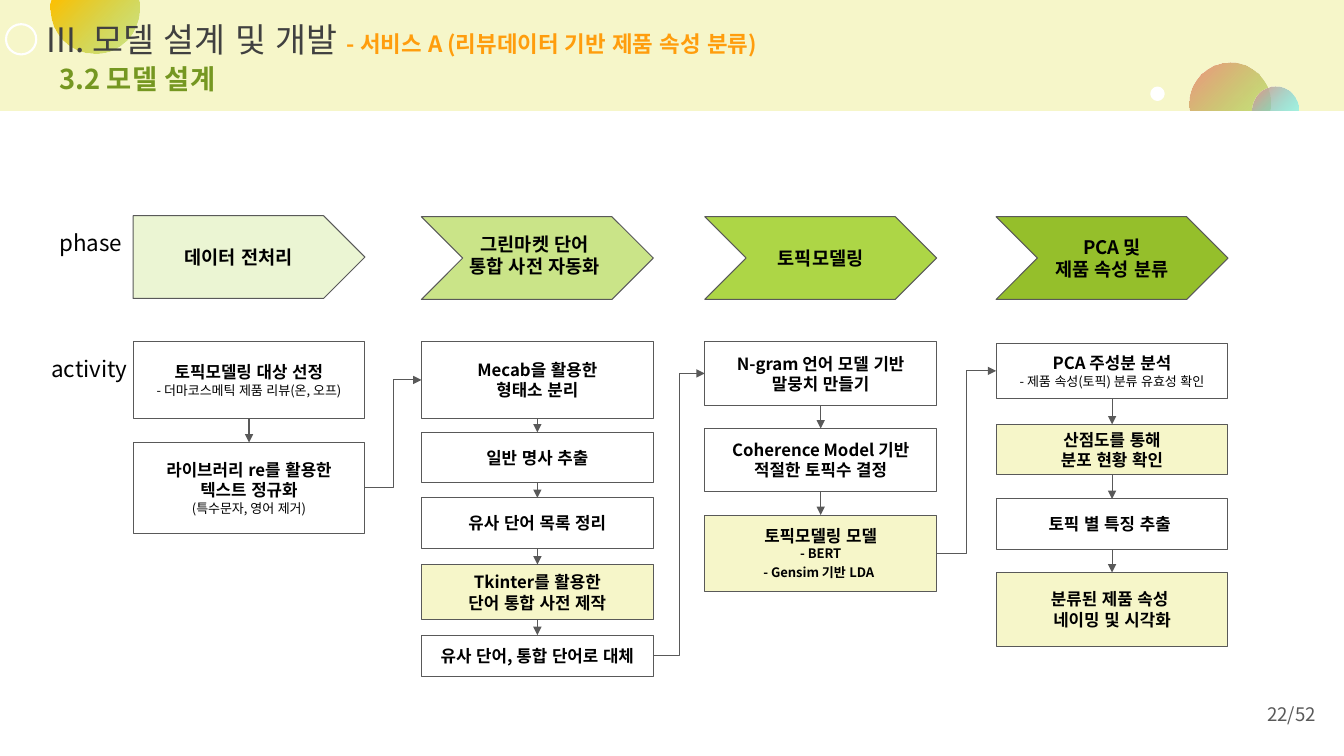
import math

from lxml import etree
from pptx import Presentation
from pptx import util as u
from pptx.dml.color import RGBColor
from pptx.enum import lang, shapes, text
from pptx.oxml import ns

FONT = "Noto Sans CJK KR"
BLACK = RGBColor(0x00, 0x00, 0x00)
WHITE = RGBColor(0xFF, 0xFF, 0xFF)
CREAM = RGBColor(0xF6, 0xF6, 0xC9)
GRAY = RGBColor(0x59, 0x59, 0x59)
DARK = RGBColor(0x40, 0x40, 0x40)
OLIVE = RGBColor(0x75, 0x97, 0x21)
ORANGE = RGBColor(0xFF, 0x9D, 0x0D)
GOLD = RGBColor(0xFF, 0xC0, 0x00)
LIME = RGBColor(0x9A, 0xCD, 0x32)
CORAL = RGBColor(0xF1, 0x91, 0x82)
AQUA = RGBColor(0x31, 0xEA, 0xFE)

WIDTH, HEIGHT, BANNER = 13.33, 7.5, 1.1
COLUMNS = [1.32, 4.18, 6.99, 9.88]
COLUMN_WIDTH = 2.3
PHASE_HEIGHT = 0.82
HEAD, SMALL = 12, 9.3
KIND = shapes.MSO_SHAPE

# Per column: top, fill and heading lines
PHASES = [
    (2.14, RGBColor(0xEB, 0xF5, 0xD3), ["데이터 전처리"]),
    (2.15, RGBColor(0xCA, 0xE4, 0x88), ["그린마켓 단어 ", "통합 사전 자동화 "]),
    (2.15, RGBColor(0xAD, 0xD6, 0x46), ["토픽모델링"]),
    (2.15, RGBColor(0x95, 0xBF, 0x2B), ["PCA 및", "제품 속성 분류"])]

# Per column: text inset, and boxes of (top, height, fill, heading lines, detail lines)
ACTIVITIES = [
    (0.16, [
        (3.39, 0.76, WHITE, ["토픽모델링 대상 선정"], ["- 더마코스메틱 제품 리뷰(온, 오프)"]),
        (4.39, 0.9, WHITE, ["라이브러리 re를 활용한", "텍스트 정규화"], ["(특수문자, 영어 제거)"])]),
    (0.13, [
        (3.39, 0.76, WHITE, ["Mecab을 활용한", "형태소 분리"], []),
        (4.29, 0.5, WHITE, ["일반 명사 추출"], []),
        (4.94, 0.5, WHITE, ["유사 단어 목록 정리"], []),
        (5.6, 0.55, CREAM, ["Tkinter를 활용한", "단어 통합 사전 제작"], []),
        (6.3, 0.41, WHITE, ["유사 단어, 통합 단어로 대체"], [])]),
    (0.13, [
        (3.39, 0.63, WHITE, ["N-gram 언어 모델 기반", "말뭉치 만들기"], []),
        (4.25, 0.63, WHITE, ["Coherence Model 기반", "적절한 토픽수 결정"], []),
        (5.11, 0.76, CREAM, ["토픽모델링 모델"], ["- BERT", "- Gensim 기반 LDA"])]),
    (0.13, [
        (3.41, 0.54, WHITE, ["PCA 주성분 분석"], ["- 제품 속성(토픽) 분류 유효성 확인"]),
        (4.21, 0.5, CREAM, ["산점도를 통해", "분포 현황 확인"], []),
        (4.95, 0.5, WHITE, ["토픽 별 특징 추출 "], []),
        (5.68, 0.73, CREAM, ["분류된 제품 속성 ", "네이밍 및 시각화"], [])]),
]


def inches(*lengths):
    return [u.Inches(length) for length in lengths]


def add_span(para, words, size=HEAD, color=BLACK, bold=False):
    span = para.add_run()
    span.text = words
    font = span.font
    font.size, font.bold, font.name = u.Pt(size), bold, FONT
    font.language_id = lang.MSO_LANGUAGE_ID.KOREAN
    font.color.rgb = color
    etree.SubElement(span._r.get_or_add_rPr(), ns.qn("a:ea"), typeface=FONT)


def write(shape, lines, align=text.PP_ALIGN.CENTER, anchor=text.MSO_ANCHOR.MIDDLE, inset=0.13):
    """Fill a shape with lines, each a list of (words, format) spans."""
    frame = shape.text_frame
    frame.word_wrap = True
    frame.vertical_anchor = anchor
    frame.margin_left = frame.margin_right = u.Inches(inset)
    frame.margin_top = frame.margin_bottom = u.Inches(0.13)
    for index, spans in enumerate(lines):
        para = frame.add_paragraph() if index else frame.paragraphs[0]
        para.alignment = align
        for words, style in spans:
            add_span(para, words, **style)


def add_label(page, place, *spans, align=text.PP_ALIGN.LEFT, anchor=text.MSO_ANCHOR.TOP):
    box = page.shapes.add_textbox(*inches(*place))
    write(box, [spans], align, anchor)


def add_box(page, kind, place, fill=None, line=GRAY, weight=0.75):
    box = page.shapes.add_shape(kind, *inches(*place))
    box.shadow.inherit = False
    if fill is None:
        box.fill.background()
    else:
        box.fill.solid()
        box.fill.fore_color.rgb = fill
    if line is None:
        box.line.fill.background()
    else:
        box.line.color.rgb = line
        box.line.width = u.Pt(weight)
    return box


def add_arrow(page, kind, start, start_site, end, end_site):
    arrow = page.shapes.add_connector(kind, 0, 0, 0, 0)
    arrow.begin_connect(start, start_site)
    arrow.end_connect(end, end_site)
    arrow.line.color.rgb = GRAY
    arrow.line.width = u.Pt(0.75)
    etree.SubElement(arrow.line._get_or_add_ln(), ns.qn("a:tailEnd"), type="triangle")
    etree.SubElement(arrow._element.spPr, ns.qn("a:effectLst"))


def bend(segments):
    """Turn three straight path segments into one Bezier curve."""
    curve = etree.Element(ns.qn("a:cubicBezTo"))
    segments[0].addprevious(curve)
    for segment in segments:
        curve.append(segment[0])
        segment.getparent().remove(segment)


def add_bubble(page, center_x, center_y, radius, edge, stops, angle):
    """Draw a gradient circle cut off at a banner edge; stops are (colour, opacity %)."""
    side = math.copysign(radius, center_y - edge)
    drop = edge - center_y
    chord = math.sqrt(radius ** 2 - drop ** 2)
    left = [(-0.55 * radius, side), (-radius, 0.55 * side), (-radius, 0),
            (-radius, drop / 3), (-radius, drop * 2 / 3), (-chord, edge - center_y)]
    right = [(-x, y) for x, y in reversed(left)]
    points = [inches(center_x + x, center_y + y) for x, y in [(0, side)] + left + right + [(0, side)]]
    builder = page.shapes.build_freeform(*points[0])
    builder.add_line_segments(points[1:], close=True)
    bubble = builder.convert_to_shape()
    segments = list(bubble._element.spPr.iter(ns.qn("a:lnTo")))
    for first in (0, 3, 7, 10):
        bend(segments[first:first + 3])
    bubble.shadow.inherit = False
    bubble.line.fill.background()
    bubble.fill.gradient()
    gradient = bubble._element.spPr.find(ns.qn("a:gradFill"))
    for child in list(gradient):
        gradient.remove(child)
    stop_list = etree.SubElement(gradient, ns.qn("a:gsLst"))
    for position, (color, opacity) in zip((0, 100000), stops):
        stop = etree.SubElement(stop_list, ns.qn("a:gs"), pos=str(position))
        tint = etree.SubElement(stop, ns.qn("a:srgbClr"), val=str(color))
        etree.SubElement(tint, ns.qn("a:alpha"), val=str(opacity * 1000))
    etree.SubElement(gradient, ns.qn("a:lin"), ang=str(angle * 60000), scaled="0")


def draw_banner(page):
    add_box(page, KIND.RECTANGLE, (0, 0, WIDTH, BANNER), CREAM, line=None)
    add_box(page, KIND.OVAL, (0.06, 0.24, 0.3, 0.3), line=WHITE, weight=1.5)
    add_bubble(page, 0.94, 0.09, 0.44, 0, [(GOLD, 100), (LIME, 40)], 45)
    add_bubble(page, 12.2, 1.02, 0.4, BANNER, [(LIME, 50), (CORAL, 100)], 225)
    add_bubble(page, 12.65, 1.09, 0.23, BANNER, [(AQUA, 40), (CORAL, 100)], 225)
    add_box(page, KIND.OVAL, (11.44, 0.89, 0.08, 0.08), WHITE, WHITE, 4.5)


def draw_titles(page):
    add_label(page, (0.46, 0.49, 5.04, 0.49),
              ("3.2 모델 설계", dict(size=19.5, color=OLIVE, bold=True)))
    add_label(page, (0.33, 0.06, 8.23, 0.64),
              ("III. 모델 설계 및 개발 ", dict(size=24, color=DARK)),
              ("- 서비스 A (리뷰데이터 기반 제품 속성 분류)",
               dict(size=16, color=ORANGE, bold=True)))


def draw_phases(page):
    for index, (left, (top, fill, lines)) in enumerate(zip(COLUMNS, PHASES)):
        kind = KIND.CHEVRON if index else KIND.PENTAGON
        holder = add_box(page, kind, (left, top, COLUMN_WIDTH, PHASE_HEIGHT), fill)
        if index == 1:  # this heading is wider than the chevron's own text area
            holder = page.shapes.add_textbox(*inches(left, 2.17, COLUMN_WIDTH, 0.72))
        write(holder, [[(line, dict(size=13.3, bold=True))] for line in lines])


def draw_activities(page):
    previous = None
    for left, (inset, steps) in zip(COLUMNS, ACTIVITIES):
        for row, (top, height, fill, heads, details) in enumerate(steps):
            box = add_box(page, KIND.RECTANGLE, (left, top, COLUMN_WIDTH, height), fill)
            detail_style = dict(size=SMALL, bold=fill == CREAM)
            lines = [[(line, dict(bold=True))] for line in heads]
            lines += [[(line, detail_style)] for line in details]
            if len(details) > 1:
                lines[-1].append((" ", dict(bold=True)))
            write(box, lines, inset=inset)
            if row:
                add_arrow(page, shapes.MSO_CONNECTOR.STRAIGHT, previous, 2, box, 0)
            elif previous is not None:
                add_arrow(page, shapes.MSO_CONNECTOR.ELBOW, previous, 3, box, 1)
            previous = box


def main():
    deck = Presentation()
    deck.slide_width, deck.slide_height = inches(WIDTH, HEIGHT)
    page = deck.slides.add_slide(deck.slide_layouts[6])
    draw_banner(page)
    draw_titles(page)
    add_label(page, (0.46, 2.14, 0.98, 0.46), ("phase", dict(size=16)))
    add_label(page, (0.38, 3.39, 1.06, 0.46), ("activity", dict(size=16)))
    draw_phases(page)
    draw_activities(page)
    add_label(page, (12.19, 6.8, 0.99, 0.57), ("22/52", dict(size=13.3, color=GRAY)),
              align=text.PP_ALIGN.RIGHT, anchor=text.MSO_ANCHOR.MIDDLE)
    deck.save("out.pptx")


if __name__ == "__main__":
    main()
